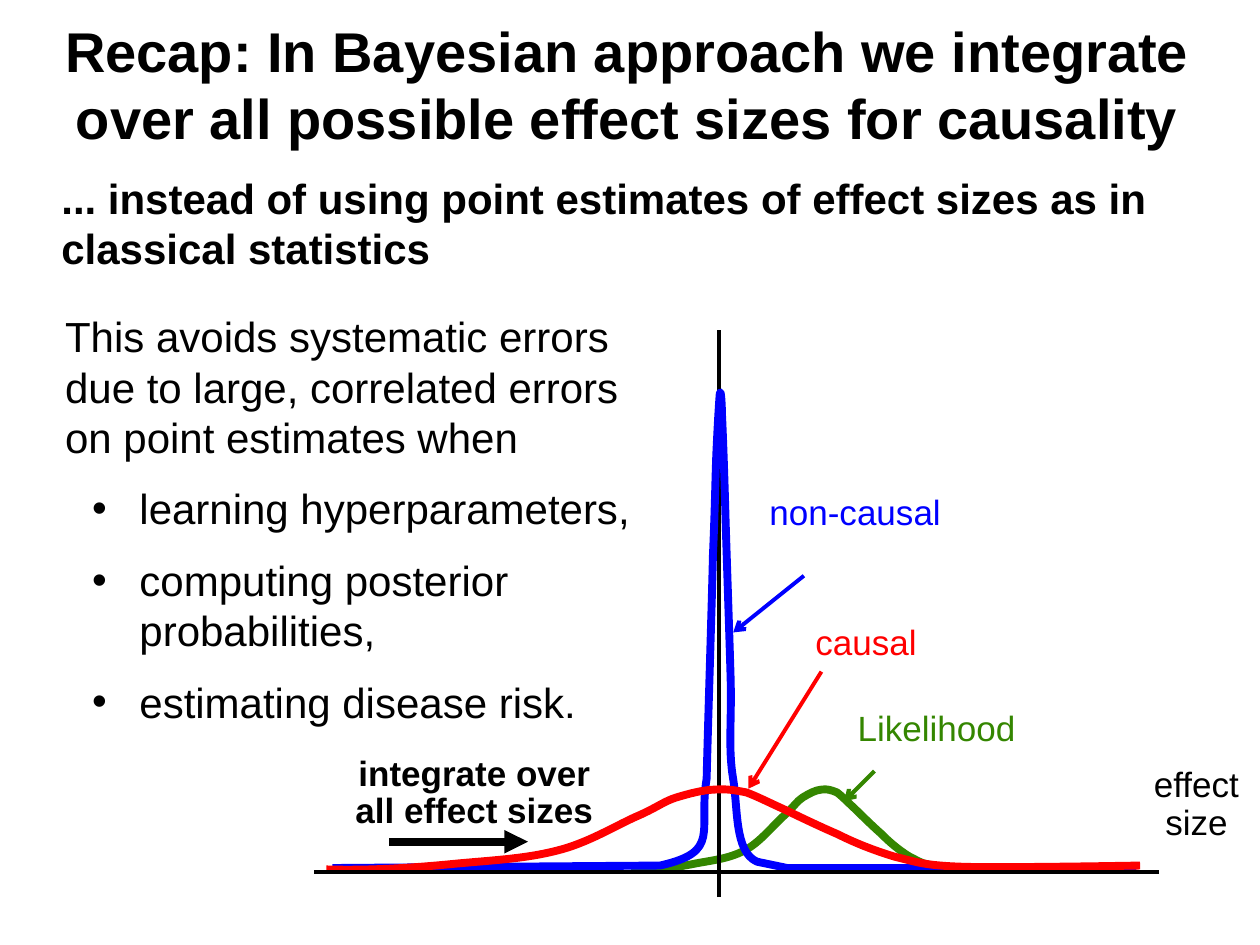
from lxml.etree import SubElement
from pptx import Presentation
from pptx.dml.color import RGBColor
from pptx.enum.shapes import MSO_CONNECTOR
from pptx.enum.text import MSO_ANCHOR, MSO_AUTO_SIZE, PP_ALIGN as Align
from pptx.oxml.ns import qn
from pptx.util import Pt

COLORS = {"black": "000000", "blue": "0000FF", "red": "FF0000", "green": "348600"}
AXIS_X, BASELINE_Y = 411, 498.2

# Curves are (x, height above the baseline); a segment of three points is a Bézier.
BELL_START = (0, 1.4)
BELL = [
    [(24, 0.7), (48, 2.2), (70, 4.3)],
    [(92, 6.5), (113, 7.2), (132, 12.2)],
    [(150, 16.6), (167, 27.4), (179, 32.4)],
    [(190, 37.4), (193, 40.3), (200, 42.5)],
    [(207, 44.6), (215, 46.8), (222, 47)],
    [(228, 47.5), (233, 46.8), (240, 45.4)],
    [(246, 43.2), (253, 39.6), (261, 36)],
    [(270, 31.7), (282, 25.9), (292, 21.6)],
    [(302, 16.6), (313, 12.2), (325, 8.6)],
    [(337, 5.8), (341, 3.6), (364, 2.9)],
]
CAUSAL_TAIL = [(387, 2.2), (465, 3.6), (465, 3.6)]
LIKELIHOOD_TAIL = [(387, 2.2), (465, 1.4), (465, 1.4)]
SPIKE_START = (-221, 2.2)
SPIKE = [
    [(-33.8, 3.6)],
    [(1.4, 11.5), (-12.2, 23), (-7.2, 53.3)],
    [(-6.5, 83), (-4.3, 150), (-3.6, 181)],
    [(-2.2, 213), (-2.2, 229), (-1.4, 244)],
    [(-0.7, 259), (0, 270), (0.3, 273)],
    [(0.7, 276), (1.4, 272), (1.6, 261)],
    [(2.2, 248), (2.9, 228), (3.6, 202)],
    [(4.3, 178), (5.8, 136), (6.5, 111)],
    [(7.2, 86), (5, 71), (7.9, 53.3)],
    [(10.8, 36), (8.6, 11.5), (21.6, 5.8)],
    [(38.9, 2.2)],
    [(238.3, 2.2)],
]


class SlideBuilder:
    font_name = "Arial"

    def __init__(self, slide):
        self.slide = slide

    def place(self, shape, left, top, width, height):
        shape.left, shape.top = Pt(left), Pt(top)
        shape.width, shape.height = Pt(width), Pt(height)

    def style(self, paragraph, size, color="black", bold=False):
        for run in paragraph.runs:
            font = run.font
            font.name, font.size, font.bold = self.font_name, Pt(size), bold
            font.color.rgb = RGBColor.from_string(COLORS[color])

    def title(self, text, box):
        shape = self.slide.shapes.title
        self.place(shape, *box)
        frame = shape.text_frame
        frame.text = text
        frame.auto_size = MSO_AUTO_SIZE.NONE
        frame.vertical_anchor = MSO_ANCHOR.TOP
        frame.paragraphs[0].alignment = Align.CENTER
        self.style(frame.paragraphs[0], 32, bold=True)

    def body(self, intro, items, box):
        shape = self.slide.placeholders[1]
        self.place(shape, *box)
        frame = shape.text_frame
        frame.text = "\n".join([intro, *items])
        frame.auto_size = MSO_AUTO_SIZE.NONE
        for index, paragraph in enumerate(frame.paragraphs):
            paragraph.space_before, paragraph.space_after = Pt(0), Pt(12)
            properties = paragraph._p.get_or_add_pPr()
            if index == 0:
                margin, indent = 0, 0
                SubElement(properties, qn("a:buNone"))
            else:
                margin, indent = 42.5, -27
                paragraph.level = 1
                SubElement(properties, qn("a:buFont"), typeface=self.font_name)
                SubElement(properties, qn("a:buChar"), char="•")
            properties.set("marL", str(Pt(margin)))
            properties.set("indent", str(Pt(indent)))
            self.style(paragraph, 24)

    def text(self, text, box, size=20, color="black", bold=False,
             align=Align.CENTER, spacing=0.9):
        shape = self.slide.shapes.add_textbox(*map(Pt, box))
        frame = shape.text_frame
        frame.word_wrap = True
        frame.text = text
        paragraph = frame.paragraphs[0]
        paragraph.alignment, paragraph.line_spacing = align, spacing
        self.style(paragraph, size, color, bold)

    def line(self, start, end, color="black", width=2.25, arrowhead=None):
        connector = self.slide.shapes.add_connector(
            MSO_CONNECTOR.STRAIGHT, *map(Pt, (*start, *end)))
        connector.line.color.rgb = RGBColor.from_string(COLORS[color])
        connector.line.width = Pt(width)
        properties = connector._element.spPr
        if arrowhead:
            SubElement(properties.find(qn("a:ln")), qn("a:tailEnd"), type=arrowhead)
        SubElement(properties, qn("a:effectLst"))

    def curve(self, start, segments, origin_x, color, scale=1):
        def position(point):
            return Pt(origin_x + point[0] * scale), Pt(BASELINE_Y - point[1])

        builder = self.slide.shapes.build_freeform(*position(start))
        builder.add_line_segments(
            [position(point) for segment in segments for point in segment], close=False)
        shape = builder.convert_to_shape()
        shape.shadow.inherit = False
        shape.fill.background()
        shape.line.color.rgb = RGBColor.from_string(COLORS[color])
        shape.line.width = Pt(4.5)
        self.bend(shape, segments)

    def bend(self, shape, segments):
        """Turn each run of three straight steps into one Bézier step."""
        steps = iter(list(shape._element.iter(qn("a:lnTo"))))
        for segment in segments:
            group = [next(steps) for _ in segment]
            if len(group) == 3:
                outline = group[0].getparent()
                bezier = SubElement(outline, qn("a:cubicBezTo"))
                outline.replace(group[0], bezier)
                for step in group:
                    bezier.append(step[0])
                for step in group[1:]:
                    outline.remove(step)


def main():
    presentation = Presentation()
    presentation.slide_width, presentation.slide_height = Pt(720), Pt(540)
    slide = presentation.slides.add_slide(presentation.slide_layouts[1])
    builder = SlideBuilder(slide)

    builder.title("Recap: In Bayesian approach we integrate over all possible "
                  "effect sizes for causality", (8.6, 5.8, 700, 85))
    builder.text("... instead of using point estimates of effect sizes as in "
                 "classical statistics", (28, 95, 672.5, 65.5), size=24, bold=True,
                 align=Align.LEFT, spacing=1.0)
    builder.body("This avoids systematic errors due to large, correlated errors "
                 "on point estimates when",
                 ["learning hyperparameters,", "computing posterior probabilities,",
                  "estimating disease risk."], (30, 174, 339, 247))

    builder.curve(BELL_START, BELL + [LIKELIHOOD_TAIL], 360.7, "green", scale=0.49)
    builder.line((AXIS_X, 512.6), (AXIS_X, 188.6))
    builder.curve(SPIKE_START, SPIKE, AXIS_X, "blue")
    builder.curve(BELL_START, BELL + [CAUSAL_TAIL], 186.5, "red")
    builder.line((662.4, BASELINE_Y), (179.3, BASELINE_Y))

    builder.text("Likelihood", (483, 403, 114.5, 29.5), color="green", align=Align.LEFT)
    builder.text("non-causal", (407, 279.4, 163.4, 29.5), color="blue")
    builder.text("causal", (451.4, 353.5, 87, 29.5), color="red")
    builder.text("effect size", (635.8, 434.9, 95.8, 51))
    builder.text("integrate over all effect sizes", (185.8, 428.4, 170.6, 51), bold=True)

    for color, start, end in [
        ("green", (499.7, 440.6), (482.4, 457.9)),
        ("blue", (459.4, 329), (419, 361.4)),
        ("red", (469.4, 383.8), (427.7, 450.7)),
    ]:
        builder.line(start, end, color, arrowhead="arrow")
    builder.line((222.5, 481), (301.7, 481), width=4.5, arrowhead="triangle")

    presentation.save("out.pptx")


if __name__ == "__main__":
    main()
